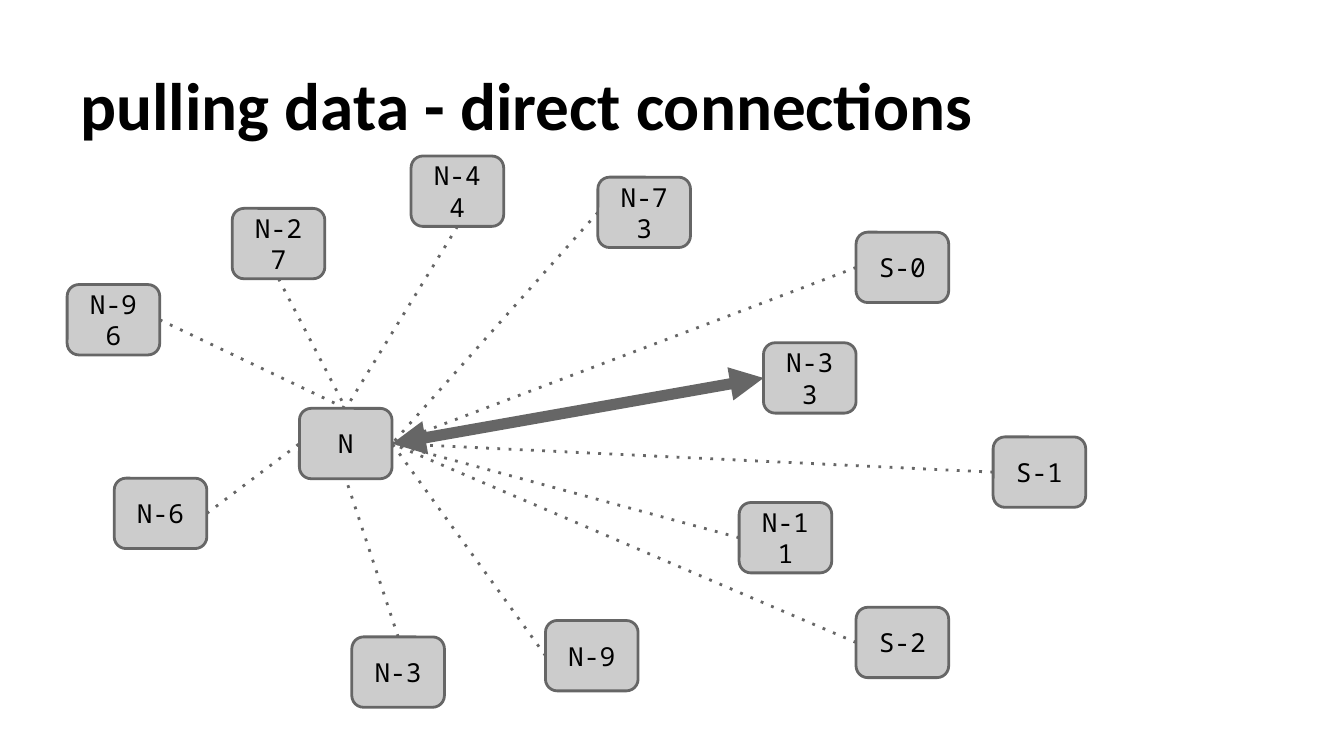
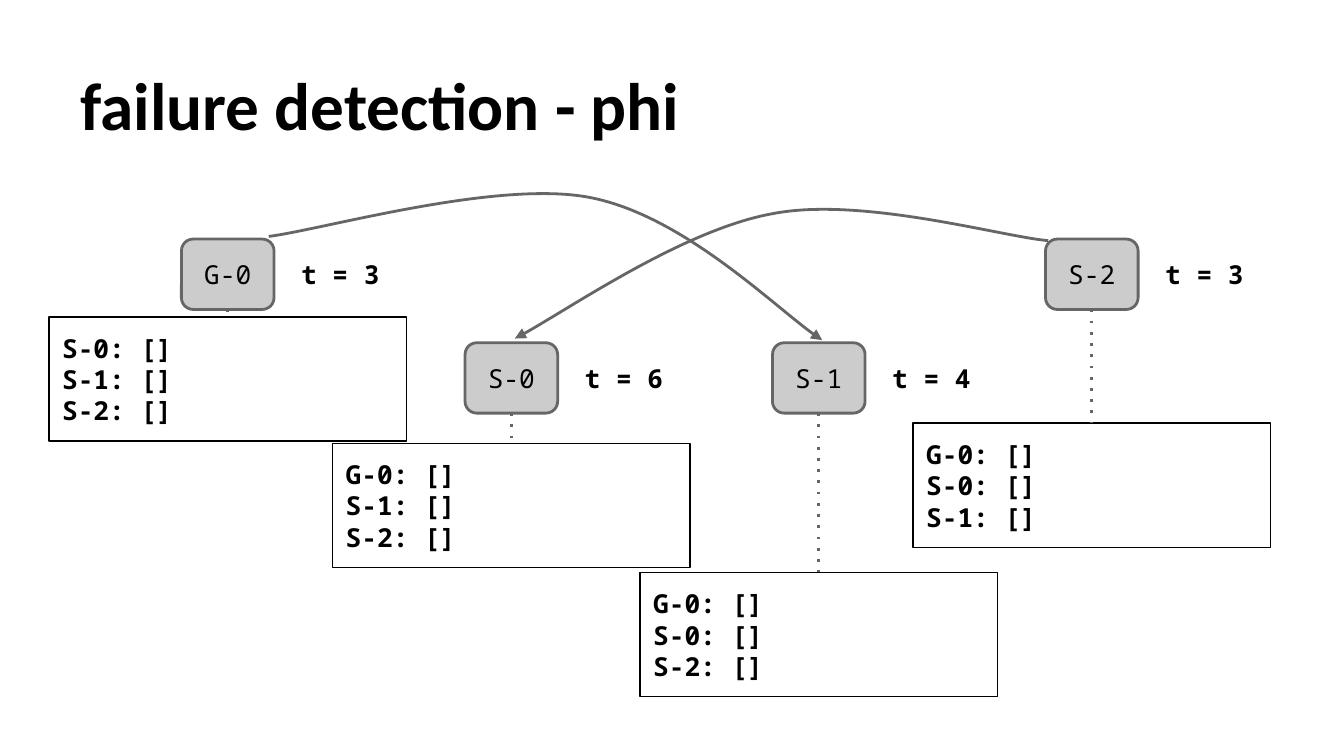
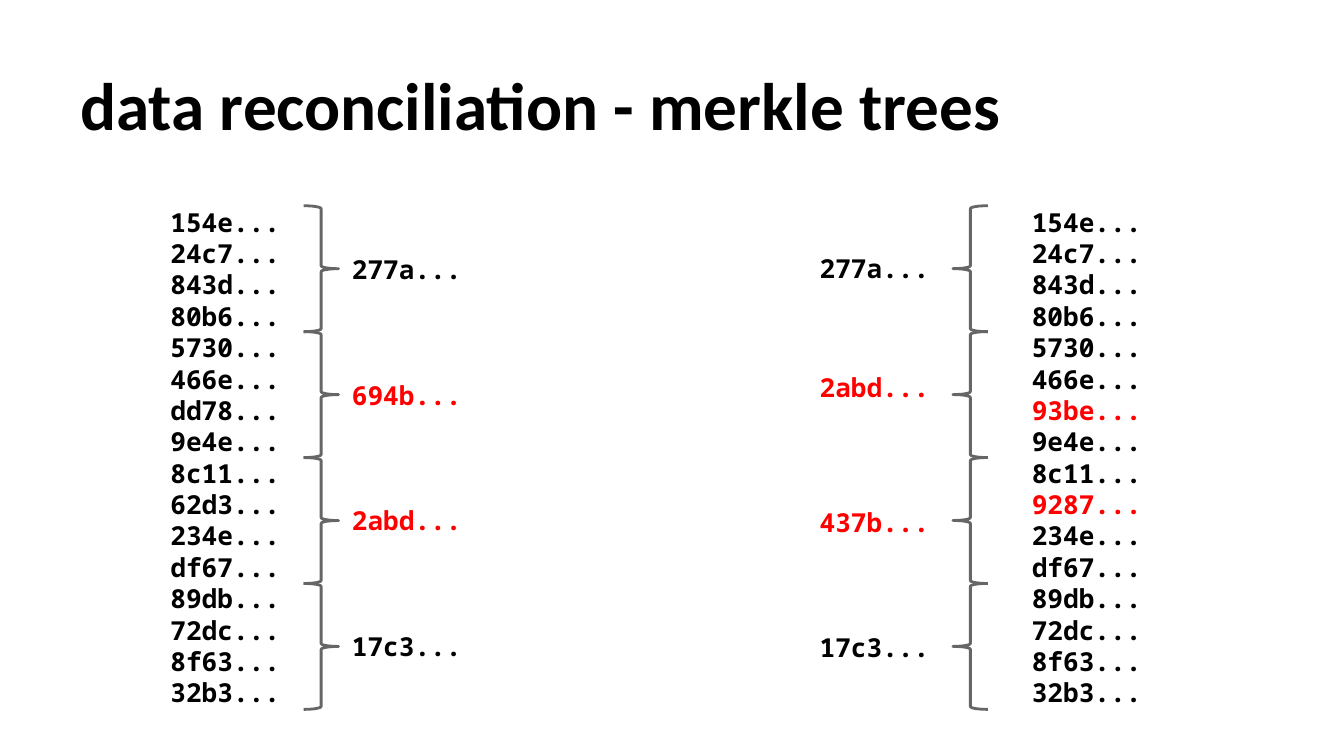
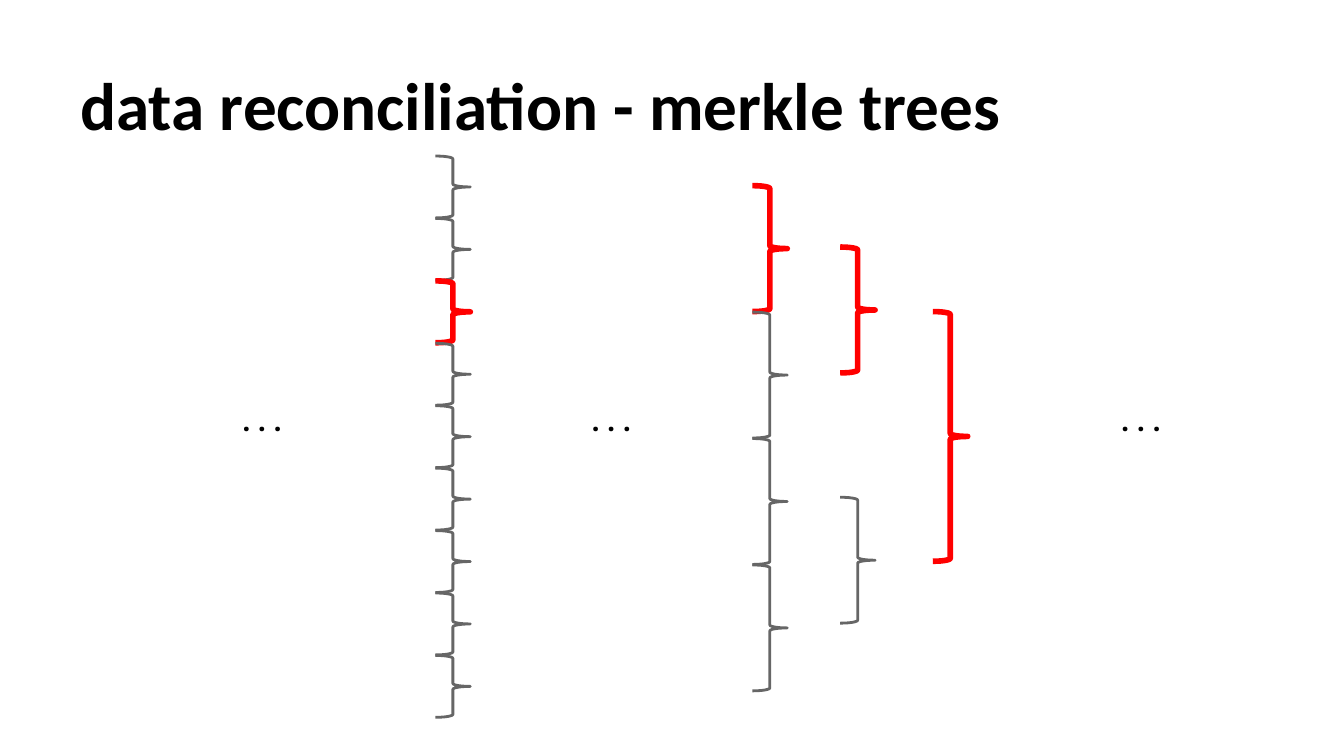
from dataclasses import dataclass
from lxml.etree import SubElement as Sub
from pptx import Presentation
from pptx.dml.color import RGBColor as RGB
from pptx.enum.shapes import MSO_CONNECTOR as Link, MSO_SHAPE as Kind
from pptx.enum.text import MSO_ANCHOR as Anchor, MSO_AUTO_SIZE as Fit, PP_ALIGN as Align
from pptx.oxml.ns import qn
from pptx.util import Cm, Pt

TOP, LEFT, BOTTOM, RIGHT = range(4)


@dataclass(frozen=True)
class Theme:
    ink: RGB = RGB(0, 0, 0)
    grey: RGB = RGB(0x66, 0x66, 0x66)
    pale: RGB = RGB(0xCC, 0xCC, 0xCC)
    alert: RGB = RGB(0xFF, 0, 0)
    head: str = "Calibri"
    mono: str = "Noto Sans Mono"
    big: int = 36
    small: int = 14
    hair: float = 0.75
    thin: float = 1.5
    bold: float = 3
    heavy: float = 6


class Deck:
    node_w, node_h = 1.75, 1.33
    tag_w, tag_h = 2.69, 1.09

    def __init__(self, theme):
        self.theme = theme
        self.prs = Presentation()
        self.prs.slide_width, self.prs.slide_height = Cm(25.4), Cm(14.29)
        self.slide = None

    # Shared helpers
    def letter(self, shape, lines, bold=True, align=Align.LEFT, colors=None,
               face=None, size=None, anchor=Anchor.MIDDLE):
        frame = shape.text_frame
        frame.word_wrap, frame.auto_size = True, Fit.NONE
        frame.vertical_anchor = anchor
        frame.margin_left = frame.margin_right = Cm(0.25)
        frame.margin_top = frame.margin_bottom = Cm(0.25)
        frame.text = "\n".join(lines)
        for para, color in zip(frame.paragraphs, colors or [self.theme.ink] * len(lines)):
            para.alignment = align
            font = para.font
            font.name, font.size = face or self.theme.mono, Pt(size or self.theme.small)
            font.bold, font.color.rgb = bold, color

    def stroke(self, shape, color, width, dotted=False, heads=()):
        shape.line.color.rgb, shape.line.width = color, Pt(width)
        edge = shape.element.spPr.find(qn("a:ln"))
        if dotted:
            Sub(edge, qn("a:prstDash"), val="dot")
        for end in heads:
            Sub(edge, qn(f"a:{end}"), type="triangle")

    def shape(self, kind, x, y, w, h, color, width, fill=None):
        shape = self.slide.shapes.add_shape(kind, Cm(x), Cm(y), Cm(w), Cm(h))
        shape.shadow.inherit = False
        if fill is None:
            shape.fill.background()
        else:
            shape.fill.solid()
            shape.fill.fore_color.rgb = fill
        self.stroke(shape, color, width)
        return shape

    # Slide elements
    def page(self, title):
        self.slide = self.prs.slides.add_slide(self.prs.slide_layouts[5])
        box = self.slide.shapes.title
        box.left, box.top, box.width, box.height = Cm(1.27), Cm(0.58), Cm(22.86), Cm(2.39)
        self.letter(box, [title], face=self.theme.head, size=self.theme.big,
                    anchor=Anchor.BOTTOM)

    def node(self, name, x, y):
        t = self.theme
        box = self.shape(Kind.ROUNDED_RECTANGLE, x, y, self.node_w, self.node_h,
                         t.grey, t.thin, t.pale)
        self.letter(box, [name], bold=False, align=Align.CENTER)
        return box

    def panel(self, lines, x, y, w, h):
        box = self.shape(Kind.RECTANGLE, x, y, w, h, self.theme.ink, self.theme.hair)
        self.letter(box, lines)
        return box

    def label(self, lines, x, y, w=tag_w, h=tag_h, **style):
        box = self.slide.shapes.add_textbox(Cm(x), Cm(y), Cm(w), Cm(h))
        self.letter(box, lines, **style)

    def join(self, start, out, end, into, width=None, dotted=True, heads=()):
        line = self.slide.shapes.add_connector(Link.STRAIGHT, 0, 0, 0, 0)
        line.begin_connect(start, out)
        line.end_connect(end, into)
        self.stroke(line, self.theme.grey, width or self.theme.thin, dotted, heads)
        Sub(line.element.spPr, qn("a:effectLst"))

    def curve(self, points):
        """First point, then two controls and an end for each Bezier piece."""
        spots = [(Cm(x), Cm(y)) for x, y in points]
        pen = self.slide.shapes.build_freeform(*spots[0])
        pen.add_line_segments(spots[1:], close=False)
        shape = pen.convert_to_shape()
        shape.shadow.inherit = False
        shape.fill.background()
        # Merge each three straight steps into one cubic piece
        steps = shape.element.findall(".//" + qn("a:lnTo"))
        for trio in zip(*[iter(steps)] * 3):
            cubic = Sub(trio[0].getparent(), qn("a:cubicBezTo"))
            for step in trio:
                cubic.append(step[0])
                step.getparent().remove(step)
        self.stroke(shape, self.theme.grey, self.theme.thin, heads=["tailEnd"])

    def brace(self, x, y, h, kind=Kind.RIGHT_BRACE, hot=False):
        t = self.theme
        self.shape(kind, x, y, 0.66, h, t.alert if hot else t.grey,
                   t.bold if hot else t.thin)


def pull(deck):
    deck.page("pulling data - direct connections")
    hub = deck.node("N", 5.66, 7.72)
    # Name, place, side of the peer, side of the hub
    peers = [
        ("S-0", 16.18, 4.39, LEFT, RIGHT),
        ("S-1", 18.77, 8.26, LEFT, RIGHT),
        ("S-2", 16.18, 11.48, LEFT, RIGHT),
        ("N-73", 11.3, 3.35, LEFT, RIGHT),
        ("N-33", 14.43, 6.48, LEFT, RIGHT),
        ("N-11", 13.97, 9.5, LEFT, RIGHT),
        ("N-9", 10.31, 11.73, LEFT, RIGHT),
        ("N-44", 7.77, 2.95, BOTTOM, TOP),
        ("N-27", 4.39, 3.94, BOTTOM, TOP),
        ("N-96", 1.27, 5.38, RIGHT, TOP),
        ("N-3", 6.65, 12.04, TOP, BOTTOM),
        ("N-6", 2.16, 9.04, RIGHT, LEFT),
    ]
    for name, x, y, out, into in peers:
        peer = deck.node(name, x, y)
        if name == "N-33":
            deck.join(peer, out, hub, into, deck.theme.heavy, False,
                      ["headEnd", "tailEnd"])
        else:
            deck.join(peer, out, hub, into)


def detect(deck):
    deck.page("failure detection - phi")
    # Name: place, time, top of its log
    nodes = {
        "G-0": (3.43, 4.52, 3, 5.99),
        "S-0": (8.79, 6.48, 6, 8.38),
        "S-1": (14.6, 6.48, 4, 10.82),
        "S-2": (19.76, 4.52, 3, 8.0),
    }
    wide = 6.76
    for name, (x, y, time, top) in nodes.items():
        node = deck.node(name, x, y)
        others = [f"{peer}: []" for peer in nodes if peer != name]
        log = deck.panel(others, x + (deck.node_w - wide) / 2, top, wide, 2.35)
        deck.join(node, BOTTOM, log, TOP)
        deck.label([f"t = {time}"], x + deck.node_w, y + 0.17, 2.51, 0.99,
                   align=Align.CENTER)
    # Messages
    deck.curve([(5.08, 4.47), (6.1, 4.34), (9.37, 3.4), (11.13, 3.73),
                (12.88, 4.06), (14.81, 5.97), (15.54, 6.43)])
    deck.curve([(19.81, 4.55), (18.92, 4.47), (16.28, 3.71), (14.6, 4.04),
                (12.93, 4.34), (10.54, 5.99), (9.73, 6.4)])


def hashes(deck):
    deck.page("data reconciliation - merkle trees")
    t = deck.theme
    mine = ("154e 24c7 843d 80b6 5730 466e dd78 9e4e "
            "8c11 62d3 234e df67 89db 72dc 8f63 32b3").split()
    fresh = {"dd78": "93be", "62d3": "9287"}
    # Leaf columns, with changed leaves marked on the right
    for x, swap in ((2.97, {}), (19.25, fresh)):
        deck.label([swap.get(leaf, leaf) + "..." for leaf in mine], x, 3.56, 3.18, 10.16,
                   colors=[t.alert if leaf in swap else t.ink for leaf in mine])
    # Parent hashes, marked where the two sides differ
    pairs = [("277a", "277a", 4.52), ("694b", "2abd", 6.78),
             ("2abd", "437b", 9.32), ("17c3", "17c3", 11.68)]
    for i, (left, right, y) in enumerate(pairs):
        color = [t.ink if left == right else t.alert]
        deck.label([left + "..."], 6.4, 4.55 + 2.37 * i, colors=color)
        deck.label([right + "..."], 15.24, y, colors=color)
        top = 3.89 + 2.38 * i
        deck.brace(5.74, top, 2.38)
        deck.brace(18.01, top, 2.38, Kind.LEFT_BRACE)


def tree(deck):
    deck.page("data reconciliation - merkle trees")
    # Left, top, step, height, count, marked brace
    levels = [
        (8.23, 2.95, 1.18, 1.17, 9, 2),
        (14.22, 3.51, 2.39, 2.38, 4, 0),
        (15.88, 4.67, 4.73, 2.38, 2, 0),
        (17.63, 5.89, 0, 4.72, 1, 0),
    ]
    for x, top, step, high, count, hot in levels:
        for i in range(count):
            deck.brace(x, top + step * i, high, hot=i == hot)
    for x in (3.61, 10.21, 20.22):
        deck.label(["..."], x, 7.42, align=Align.CENTER)


def main():
    deck = Deck(Theme())
    for draw in (pull, detect, hashes, tree):
        draw(deck)
    deck.prs.save("out.pptx")


if __name__ == "__main__":
    main()
